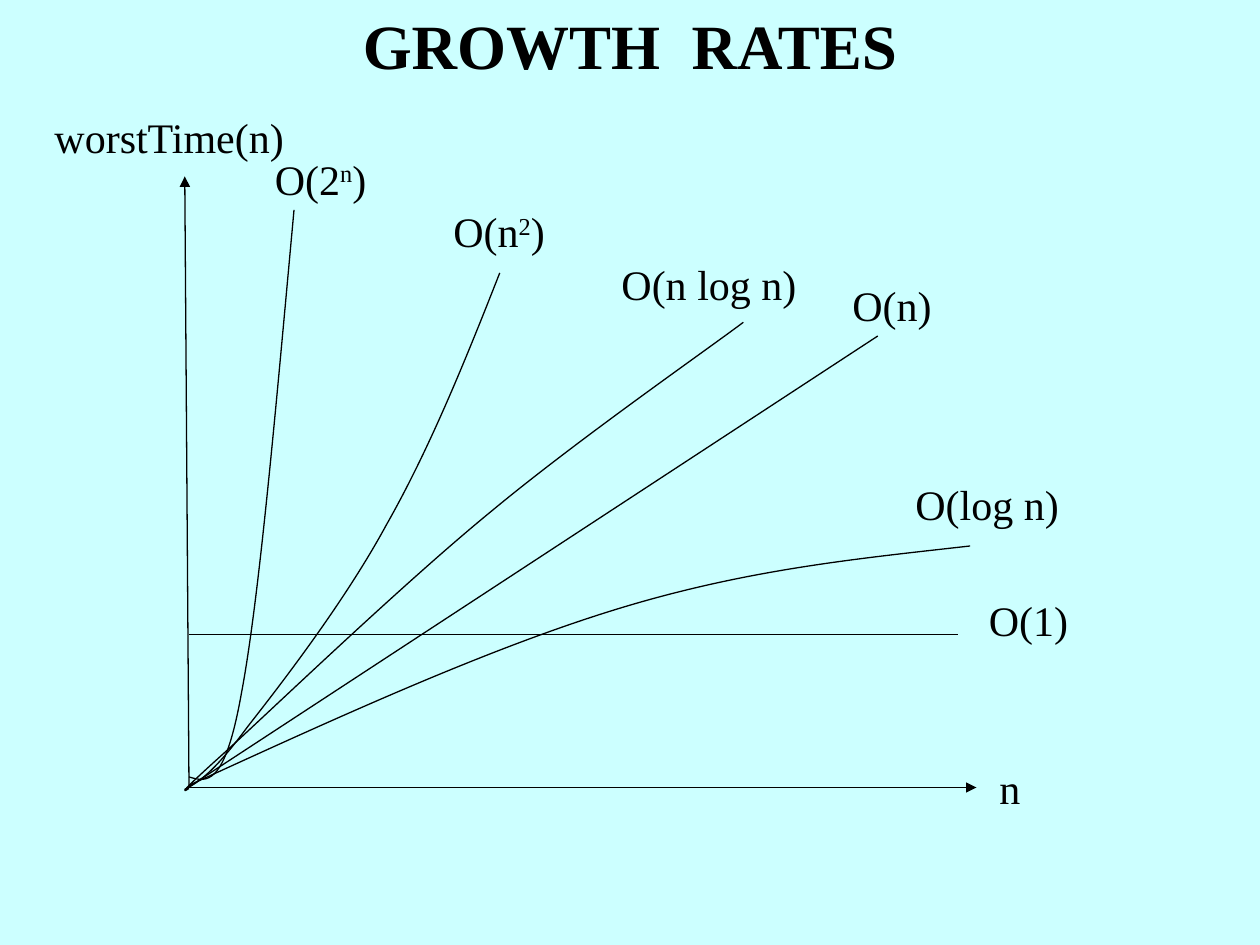
from dataclasses import dataclass

from lxml import etree
from pptx import Presentation, util as u
from pptx.dml.color import RGBColor
from pptx.enum import shapes, text
from pptx.oxml.ns import qn

COLUMNS, ROWS = 120, 90
WIDTH, HEIGHT = u.Inches(10), u.Inches(7.5)

Point = tuple[float, float]


@dataclass(frozen=True)
class Theme:
    background: RGBColor = RGBColor(0xCC, 0xFF, 0xFF)
    ink: RGBColor = RGBColor(0, 0, 0)
    font: str = "Times New Roman"
    title_size: int = 36
    label_size: int = 24
    line_width: float = 0.75


@dataclass(frozen=True)
class Label:
    column: float
    row: float
    columns: float
    words: str
    raised: str = ""
    closing: str = ""
    rows: float = 6
    title: bool = False


@dataclass(frozen=True)
class Line:
    start: Point
    end: Point
    arrow: bool = False


@dataclass(frozen=True)
class Curve:
    start: Point
    bends: tuple[Point, ...]


THEME = Theme()

LINES = (
    Line((18, 60.4), (91.2, 60.4)),
    Line((18, 75), (17.6, 16.8), arrow=True),
    Line((17.6, 75.2), (83.6, 32)),
    Line((18, 75), (93, 75), arrow=True),
)

LOG_N = Curve((18, 74.8), ((32.2, 68.3), (46.4, 61.8), (58.8, 58),
                           (71.2, 54.2), (81.8, 53.2), (92.4, 52)))
N_LOG_N = Curve((18, 75.1), ((17.4, 75.5), (16.8, 75.8), (21.6, 71.5),
                             (26.4, 67.1), (38.6, 55.4), (46.8, 48.7),
                             (55, 41.9), (66.8, 33.7), (70.8, 30.7)))
N_SQUARED = Curve((17.6, 75.2), ((19.1, 74.4), (20.5, 73.4), (23.6, 69.2),
                                 (26.9, 65), (32.9, 57.2), (36.8, 50),
                                 (40.9, 42.8), (44.3, 34.4), (47.6, 26)))
TWO_TO_N = Curve((18, 74), ((19.7, 74.5), (21.4, 75), (23, 66),
                            (24.7, 57), (26.3, 38.5), (28, 20)))
CURVES = (LOG_N, N_LOG_N, N_SQUARED, TWO_TO_N)

LABELS = (
    Label(0, 0, COLUMNS, "GROWTH  RATES", rows=8.4, title=True),
    Label(4, 10, 28, "worstTime(n)"),
    Label(25, 14, 11.3, "O(2", "n", ")"),
    Label(42, 19, 14, "O(n", "2", ")"),
    Label(58, 24, 20, "O(n log n)"),
    Label(80, 26, 13, "O(n)"),
    Label(86, 45, 18, "O(log n)"),
    Label(93, 56, 14, "O(1)"),
    Label(94, 72, 7, "n"),
)


def across(columns: float) -> int:
    return round(WIDTH * columns / COLUMNS)


def down(rows: float) -> int:
    return round(HEIGHT * rows / ROWS)


def place(point: Point) -> tuple[int, int]:
    return across(point[0]), down(point[1])


def style_line(line) -> None:
    line.color.rgb = THEME.ink
    line.width = u.Pt(THEME.line_width)


def draw_line(page, line: Line) -> None:
    connector = page.shapes.add_connector(
        shapes.MSO_CONNECTOR.STRAIGHT, *place(line.start), *place(line.end))
    style_line(connector.line)
    properties = connector._element.spPr
    if line.arrow:
        outline = connector.line._get_or_add_ln()
        etree.SubElement(outline, qn("a:tailEnd"), type="triangle")
    etree.SubElement(properties, qn("a:effectLst"))


def draw_curve(page, curve: Curve) -> None:
    builder = page.shapes.build_freeform(*place(curve.start))
    builder.add_line_segments([place(bend) for bend in curve.bends], close=False)
    shape = builder.convert_to_shape()
    shape.shadow.inherit = False
    shape.fill.background()
    style_line(shape.line)
    segments = list(shape._element.iter(qn("a:lnTo")))
    outline = segments[0].getparent()
    for first in range(0, len(segments), 3):
        bezier = etree.SubElement(outline, qn("a:cubicBezTo"))
        for segment in segments[first:first + 3]:
            bezier.append(segment[0])
            outline.remove(segment)


def add_span(para, words: str, label: Label, raised: bool = False) -> None:
    span = para.add_run()
    span.text = words
    span.font.name = THEME.font
    span.font.size = u.Pt(THEME.title_size if label.title else THEME.label_size)
    span.font.bold = label.title
    span.font.color.rgb = THEME.ink
    if raised:
        span._r.get_or_add_rPr().set("baseline", "30000")


def draw_label(page, label: Label) -> None:
    box = page.shapes.add_textbox(*place((label.column, label.row)),
                                  across(label.columns), down(label.rows))
    frame = box.text_frame
    frame.word_wrap = True
    frame.auto_size = text.MSO_AUTO_SIZE.SHAPE_TO_FIT_TEXT
    para = frame.paragraphs[0]
    para.alignment = text.PP_ALIGN.CENTER if label.title else text.PP_ALIGN.LEFT
    add_span(para, label.words, label)
    if label.raised:
        add_span(para, label.raised, label, raised=True)
        add_span(para, label.closing, label)


def main() -> None:
    deck = Presentation()
    deck.slide_width, deck.slide_height = WIDTH, HEIGHT
    page = deck.slides.add_slide(deck.slide_layouts[6])
    page.background.fill.solid()
    page.background.fill.fore_color.rgb = THEME.background
    for line in LINES:
        draw_line(page, line)
    for curve in CURVES:
        draw_curve(page, curve)
    for label in LABELS:
        draw_label(page, label)
    deck.save("out.pptx")


if __name__ == "__main__":
    main()
